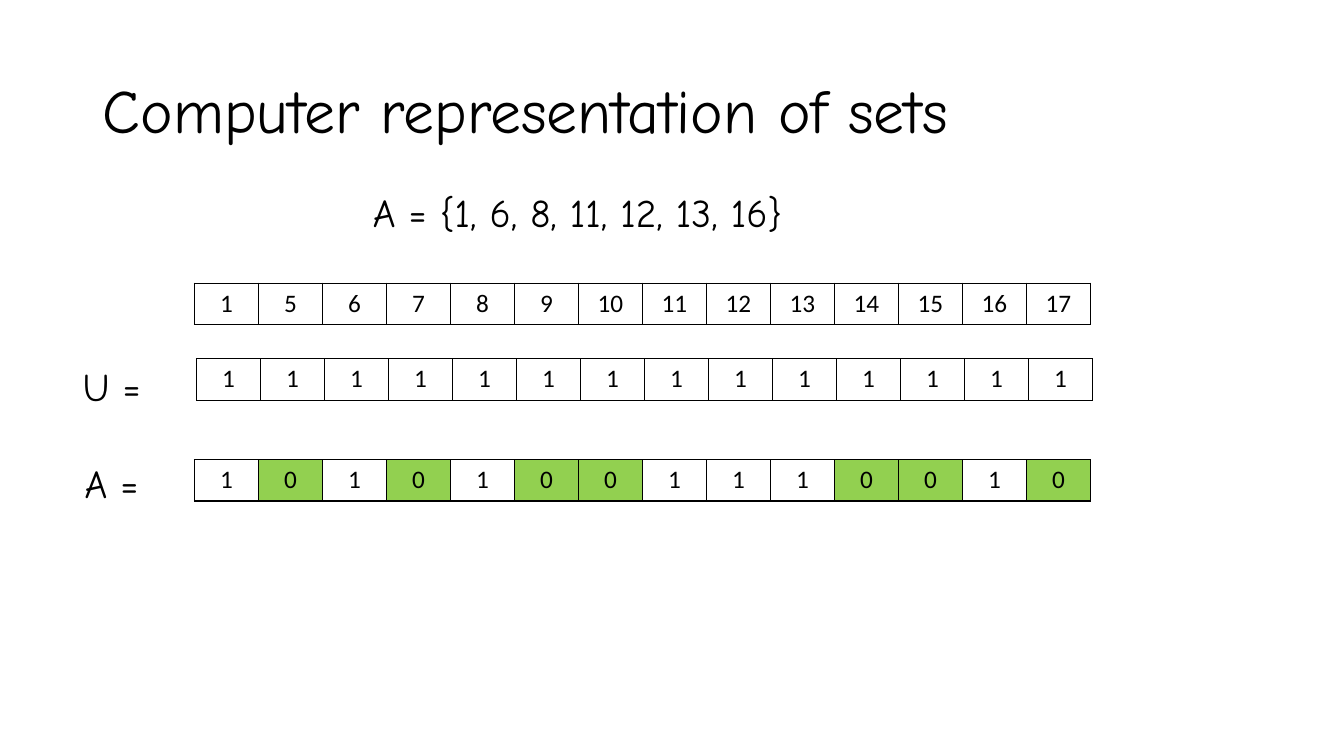
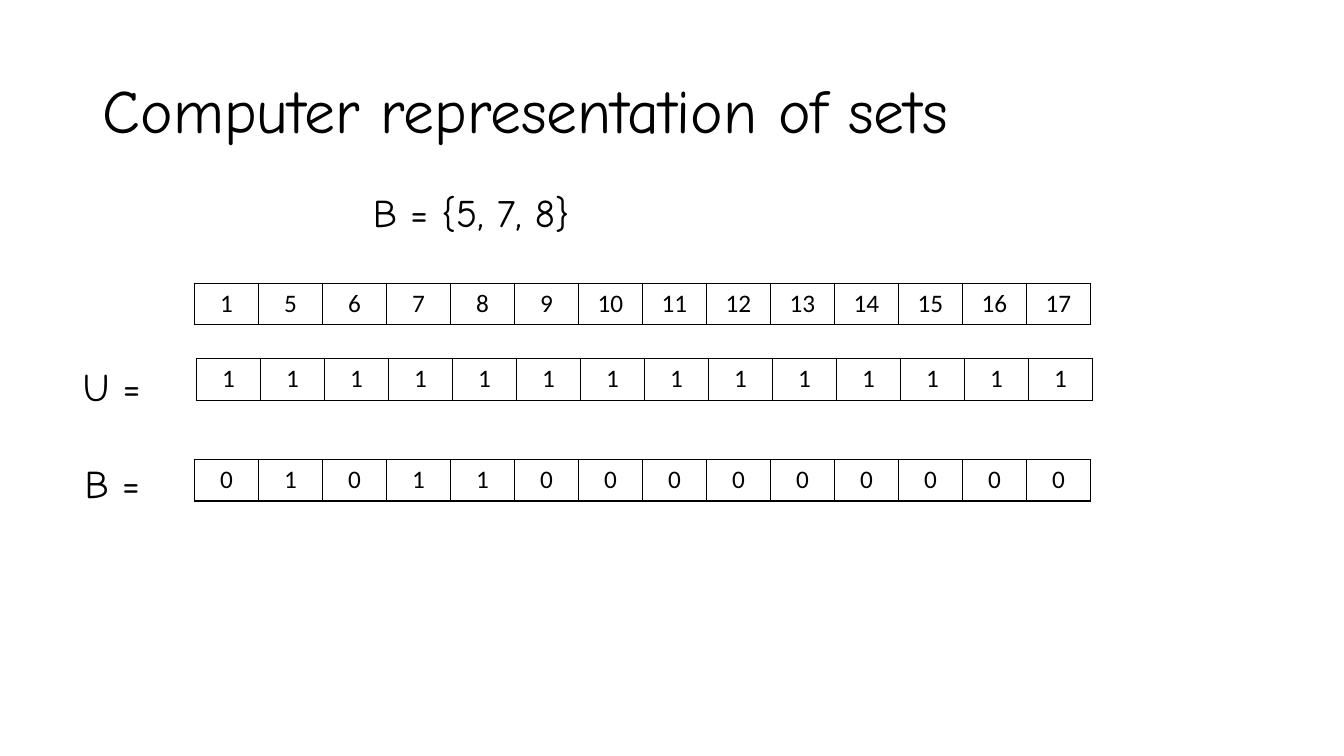
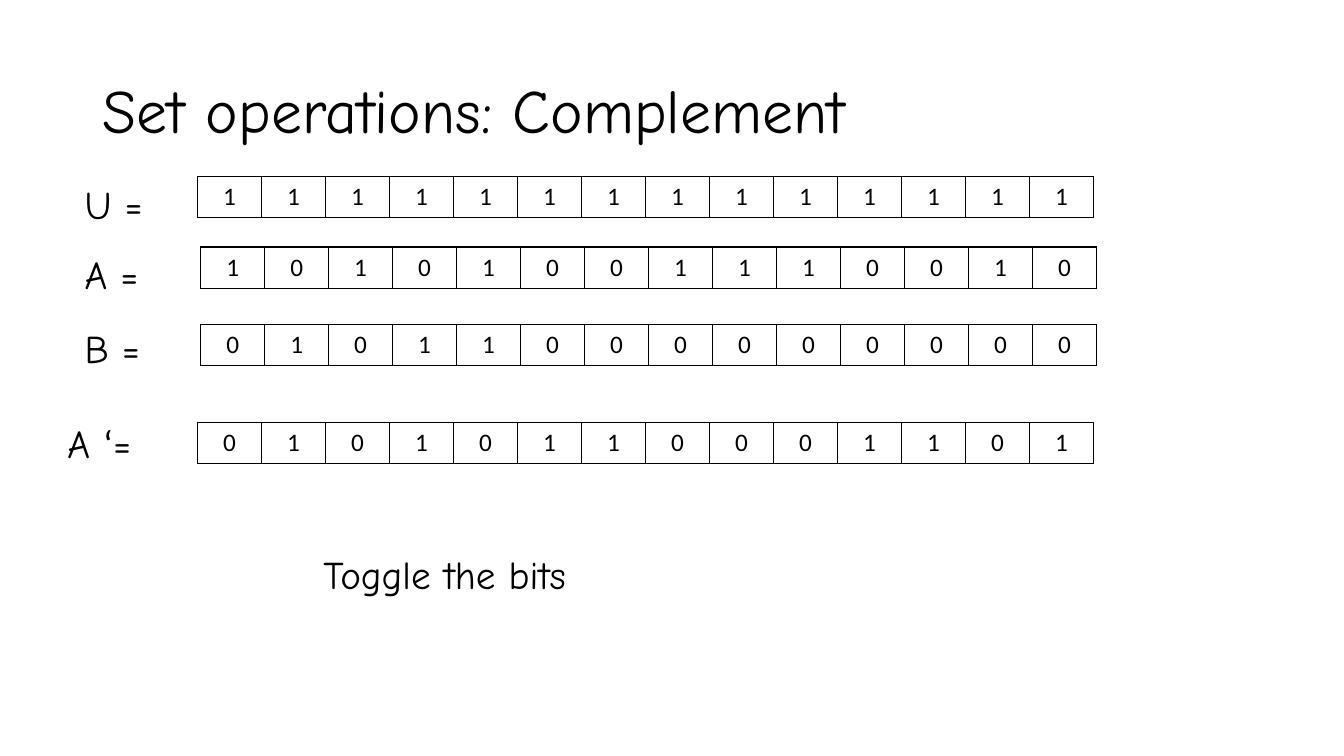
import pptx
import pptx.dml.color
import pptx.enum.text
import pptx.util
from pptx.oxml import parse_xml
from pptx.oxml.ns import nsdecls

PX = 9144  # EMU per px, 100 px to the inch
BLACK = pptx.dml.color.RGBColor(0x00, 0x00, 0x00)
GREEN = pptx.dml.color.RGBColor(0x92, 0xD0, 0x50)
HAND_FONT = "Comic Neue"
CELL_FONT = "Calibri"
TITLE_ONLY = 5

ROW_WIDTH, ROW_HEIGHT = 889, 41
LABEL_WIDTH, LABEL_HEIGHT = 99, 73

UNIVERSE = [1, *range(5, 18)]
SET_A = [1, 6, 8, 11, 12, 13, 16]
SET_B = [5, 7, 8]


def emu(*lengths):
    return [pptx.util.Emu(length * PX) for length in lengths]


def bits(members):
    """Give one bit for each element of the universe."""
    return [int(element in members) for element in UNIVERSE]


def set_font(paragraph, size, name):
    paragraph.font.size = pptx.util.Pt(size)
    paragraph.font.name = name
    paragraph.font.color.rgb = BLACK


def add_titled_slide(deck, heading):
    slide = deck.slides.add_slide(deck.slide_layouts[TITLE_ONLY])
    title = slide.shapes.title
    title.left, title.top, title.width, title.height = emu(92, 40, 1150, 145)
    frame = title.text_frame
    frame.text = heading
    frame.auto_size = pptx.enum.text.MSO_AUTO_SIZE.NONE
    frame.vertical_anchor = pptx.enum.text.MSO_ANCHOR.MIDDLE
    paragraph = frame.paragraphs[0]
    paragraph.alignment = pptx.enum.text.PP_ALIGN.LEFT
    paragraph.line_spacing = 0.9
    set_font(paragraph, 44, HAND_FONT)
    return slide


def add_text(slide, text, left, top, width, height):
    frame = slide.shapes.add_textbox(*emu(left, top, width, height)).text_frame
    frame.word_wrap = True
    paragraph = frame.paragraphs[0]
    paragraph.text = text
    set_font(paragraph, 28, HAND_FONT)
    return paragraph


def add_equation(slide, text, left, top, width=LABEL_WIDTH, height=LABEL_HEIGHT):
    paragraph = add_text(slide, text, left, top, width, height)
    paragraph.line_spacing = 0.9
    paragraph.space_before = pptx.util.Pt(10)


def add_complement_label(slide, left, top):
    paragraph = add_text(slide, "", left, top, 132, 57)
    for text, font in (("A ", HAND_FONT), ("‘", CELL_FONT), ("=", HAND_FONT)):
        run = paragraph.add_run()
        run.text = text
        run.font.name = font


def set_borders(cell):
    properties = cell._tc.get_or_add_tcPr()
    for position, side in enumerate(("lnL", "lnR", "lnT", "lnB")):
        properties.insert(position, parse_xml(
            f'<a:{side} {nsdecls("a")} w="12700"><a:solidFill>'
            f'<a:srgbClr val="{BLACK}"/></a:solidFill></a:{side}>'))


def add_row(slide, values, left, top, highlighted=None):
    """Draw the values as a one-row table, with one value highlighted in green."""
    table = slide.shapes.add_table(
        1, len(values), *emu(left, top, ROW_WIDTH, ROW_HEIGHT)).table
    table.first_row = table.horz_banding = False
    for cell, value in zip(table.iter_cells(), values):
        cell.text = str(value)
        paragraph = cell.text_frame.paragraphs[0]
        paragraph.alignment = pptx.enum.text.PP_ALIGN.CENTER
        set_font(paragraph, 18, CELL_FONT)
        if value == highlighted:
            cell.fill.solid()
            cell.fill.fore_color.rgb = GREEN
        else:
            cell.fill.background()
        set_borders(cell)


def add_representation_slide(deck, name, members, highlighted=None):
    slide = add_titled_slide(deck, "Computer representation of sets")
    listing = ", ".join(map(str, members))
    add_equation(slide, f"{name} = {{{listing}}}", 360, 187, 528, 58)
    add_row(slide, UNIVERSE, 193, 281)
    add_equation(slide, "U =", 72, 360)
    add_row(slide, bits(UNIVERSE), 195, 356)
    add_equation(slide, f"{name} =", 74, 456)
    add_row(slide, bits(members), 193, 456, highlighted)


def add_complement_slide(deck):
    slide = add_titled_slide(deck, "Set operations: Complement")
    for name, members, label_top, row_left, row_top in (
            ("U", UNIVERSE, 179, 196, 175),
            ("A", SET_A, 249, 199, 245),
            ("B", SET_B, 322, 199, 322)):
        add_equation(slide, f"{name} =", 74, label_top)
        add_row(slide, bits(members), row_left, row_top)
    add_complement_label(slide, 57, 411)
    add_row(slide, [1 - bit for bit in bits(SET_A)], 196, 419)
    add_text(slide, "Toggle the bits", 311, 541, 461, 57)


def main():
    deck = pptx.Presentation()
    deck.slide_width, deck.slide_height = emu(1333, 750)
    add_representation_slide(deck, "A", SET_A, highlighted=0)
    add_representation_slide(deck, "B", SET_B)
    add_complement_slide(deck)
    deck.save("out.pptx")


if __name__ == "__main__":
    main()
